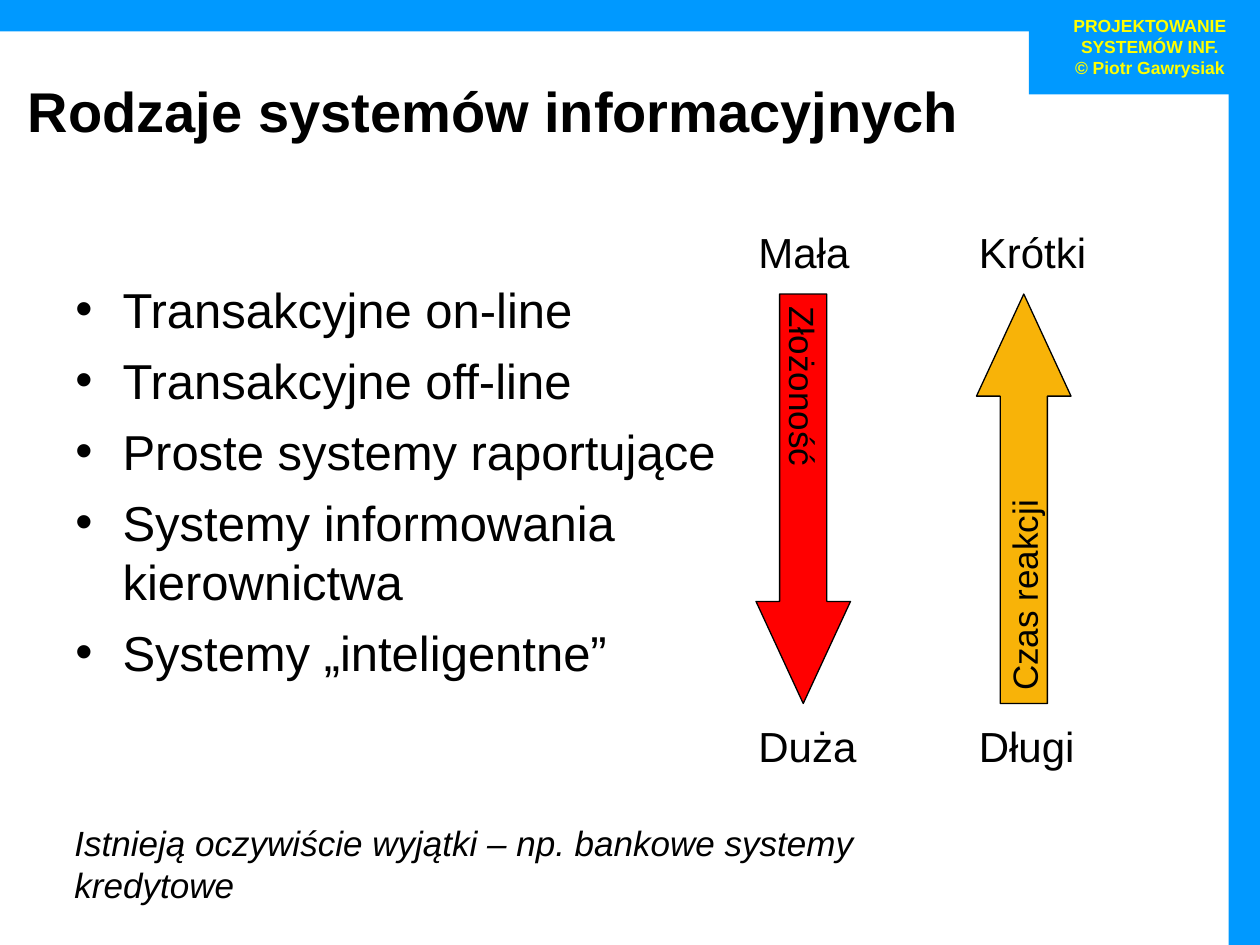
"""Builds a slide on the kinds of information systems, with complexity and response time arrows."""
from lxml import etree
from pptx import Presentation
from pptx import util as u
from pptx.dml.color import RGBColor
from pptx.enum import shapes, text
from pptx.oxml import ns

THEME = {
    "font": "Arial",
    "ink": RGBColor(0, 0, 0),
    "frame": RGBColor(0, 0x99, 0xFF),
    "label": RGBColor(0xFF, 0xFF, 0),
    "complexity": RGBColor(0xFF, 0, 0),
    "response": RGBColor(0xF8, 0xB3, 0x08),
    "title": u.Pt(32),
    "body": u.Pt(28),
    "scale": u.Pt(24),
    "small": u.Pt(20),
    "tag": u.Pt(10),
}


def write(sp, lines, size, color="ink", frame=None, para=None, **font):
    tf = sp.text_frame
    for key, value in ({"word_wrap": True} | (frame or {})).items():
        setattr(tf, key, value)
    for i, line in enumerate(lines):
        p = tf.paragraphs[0] if i == 0 else tf.add_paragraph()
        r = p.add_run()
        r.text = line
        for key, value in (para or {}).items():
            setattr(p, key, value)
        for key, value in ({"name": THEME["font"], "size": THEME[size]} | font).items():
            setattr(r.font, key, value)
        r.font.color.rgb = THEME[color]
    return tf


def add_shape(s, kind, box, fill):
    sp = s.shapes.add_shape(kind, *map(u.Pt, box))
    sp.shadow.inherit = False
    sp.fill.solid()
    sp.fill.fore_color.rgb = THEME[fill]
    sp.line.fill.background()
    return sp


prs = Presentation()
prs.slide_width, prs.slide_height = u.Pt(720), u.Pt(540)
s = prs.slides.add_slide(prs.slide_layouts[6])

sp = s.shapes.add_textbox(*map(u.Pt, (0, 18, 612, 90)))
write(sp, ["Rodzaje systemów informacyjnych"], "title", bold=True,
      frame={"vertical_anchor": text.MSO_ANCHOR.MIDDLE, "margin_left": u.Pt(16)})

kinds = ["Transakcyjne on-line", "Transakcyjne off-line", "Proste systemy raportujące",
         "Systemy informowania", "Systemy „inteligentne”"]
sp = s.shapes.add_textbox(*map(u.Pt, (36, 156, 612, 324)))
tf = write(sp, kinds, "body")
for i, p in enumerate(tf.paragraphs):
    pPr = p._p.get_or_add_pPr()
    pPr.set("marL", str(u.Pt(27)))
    pPr.set("indent", str(-u.Pt(27)))
    etree.SubElement(pPr, ns.qn("a:buFont")).set("typeface", THEME["font"])
    etree.SubElement(pPr, ns.qn("a:buChar")).set("char", "•")
    p.space_before = u.Pt(7 if i else 0)
p = tf.paragraphs[3]
p.add_line_break()
r = p.add_run()
r.text = "kierownictwa"
for key, value in {"name": THEME["font"], "size": THEME["body"]}.items():
    setattr(r.font, key, value)
r.font.color.rgb = THEME["ink"]

scales = [
    (432, "Złożoność", "complexity", 0, ("Mała", 66.3), ("Duża", 70.5)),
    (558, "Czas reakcji", "response", 180, ("Krótki", 75.6), ("Długi", 69.1)),
]
arrow_frame = {"vertical_anchor": text.MSO_ANCHOR.MIDDLE,
               "margin_left": u.Pt(3.6), "margin_right": u.Pt(3.6),
               "margin_top": u.Pt(7.2), "margin_bottom": u.Pt(7.2)}
one_line = {"word_wrap": False, "auto_size": text.MSO_AUTO_SIZE.SHAPE_TO_FIT_TEXT}
for x, name, fill, turn, top, bottom in scales:
    sp = add_shape(s, shapes.MSO_SHAPE.DOWN_ARROW, (x, 168, 54, 234), fill)
    sp.adjustments[0], sp.adjustments[1] = 0.5, 1.08
    sp.rotation = turn
    sp.line.color.rgb = THEME["ink"]
    sp.line.width = u.Pt(0.75)
    tf = write(sp, [name], "small", frame=arrow_frame,
               para={"alignment": text.PP_ALIGN.CENTER})
    tf._txBody.bodyPr.set("vert", "eaVert")
    for y, (word, width) in ((126, top), (408, bottom)):
        sp = s.shapes.add_textbox(*map(u.Pt, (x - 5.76, y, width, 36)))
        write(sp, [word], "scale", frame=one_line)

for box in ((588, 0, 132, 54), (0, 0, 666, 18), (702, 47.5, 18, 492.5)):
    add_shape(s, shapes.MSO_SHAPE.RECTANGLE, box, "frame")

sp = s.shapes.add_textbox(*map(u.Pt, (594, 5, 126, 43)))
write(sp, ["PROJEKTOWANIE SYSTEMÓW INF.", "© Piotr Gawrysiak"], "tag", "label",
      para={"alignment": text.PP_ALIGN.CENTER}, bold=True)

sp = s.shapes.add_textbox(*map(u.Pt, (35.5, 466, 556.5, 31.5)))
write(sp, ["Istnieją oczywiście wyjątki – np. bankowe systemy kredytowe"], "small",
      frame=one_line, italic=True)

prs.save("out.pptx")
